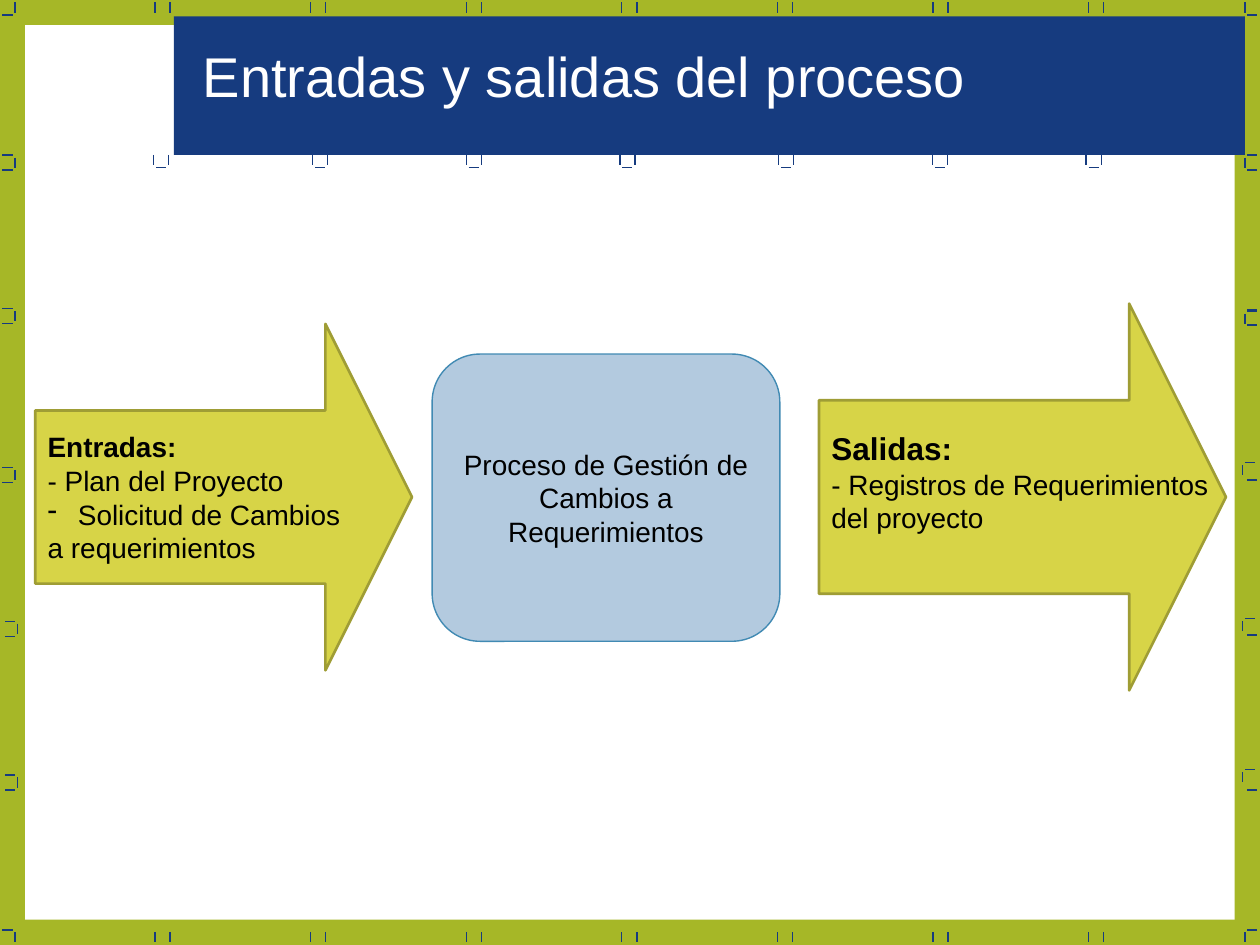
from pptx import Presentation
from pptx.dml.color import RGBColor
from pptx.enum import shapes as kinds, text
from pptx.oxml import parse_xml
from pptx.oxml.ns import nsdecls, qn
from pptx.util import Inches, Pt

GREEN = RGBColor(0xA6, 0xB7, 0x27)
NAVY = RGBColor(0x16, 0x3B, 0x7F)
WHITE = RGBColor(0xFF, 0xFF, 0xFF)
BLACK = RGBColor(0, 0, 0)
LIME = RGBColor(0xD7, 0xD4, 0x47)
OLIVE = RGBColor(0x9F, 0x9D, 0x35)
SKY = RGBColor(0xB3, 0xCA, 0xDF)
STEEL = RGBColor(0x41, 0x8A, 0xB3)

TICK = 0.08
GAP = 0.02
PAIR = 0.12


def add_block(slide, kind, box, fill, line=None, weight=0):
    """Add a filled preset shape at box (left, top, width, height) in inches."""
    block = slide.shapes.add_shape(kind, *map(Inches, box))
    block.shadow.inherit = False
    block.fill.solid()
    block.fill.fore_color.rgb = fill
    if line is None:
        block.line.fill.background()
    else:
        block.line.color.rgb = line
        block.line.width = Pt(weight)
    return block


def add_tick(slide, x, y, vertical=False):
    """Draw one short mark rightwards or downwards from (x, y)."""
    end = (x, y + TICK) if vertical else (x + TICK, y)
    tick = slide.shapes.add_connector(
        kinds.MSO_CONNECTOR.STRAIGHT, *map(Inches, (x, y, *end)))
    tick.line.color.rgb = NAVY
    tick.line.width = Pt(0.75)
    properties = tick.element.find(qn("p:spPr"))
    properties.append(parse_xml(f"<a:effectLst {nsdecls('a')}/>"))


def add_frame_marks(slide):
    """Draw the registration marks around the slide edge."""
    for column in range(7):
        for x in (1.23 + 1.235 * column, 1.23 + 1.235 * column + PAIR):
            for y in (0.02, 7.4):
                add_tick(slide, x, y, vertical=True)
    for x in (0.12, 9.88):
        for y in (0.02, 7.4):
            add_tick(slide, x, y, vertical=True)
    for x in (0.02, 9.9):
        for y in (0.12, 7.38):
            add_tick(slide, x, y)
    for x, y in ((0.02, 1.23), (0.02, 2.45), (0.02, 3.71), (0.04, 4.93), (0.04, 6.15)):
        add_tick(slide, x, y)
        add_tick(slide, x + 0.1, y + GAP, vertical=True)
        add_tick(slide, x, y + PAIR)
    for x, y in ((9.88, 1.23), (9.88, 2.47), (9.86, 3.67), (9.86, 4.91), (9.86, 6.11)):
        add_tick(slide, x + GAP, y)
        add_tick(slide, x, y + GAP, vertical=True)
    for y in (1.35, 2.46, 2.58, 3.81, 5.04, 6.27):
        add_tick(slide, 9.9, y)


def add_header(slide, box):
    """Draw the title band with its lower marks and place the title on it."""
    left, top, width, height = box
    add_block(slide, kinds.MSO_SHAPE.RECTANGLE, box, NAVY)
    bottom = top + height
    for x in (1.22, 2.48, 3.7, 4.92, 6.18, 7.4, 8.62):
        add_tick(slide, x, bottom, vertical=True)
        add_tick(slide, x + PAIR, bottom, vertical=True)
        add_tick(slide, x + GAP, bottom + 0.1)
    title = slide.shapes.title
    slide.shapes.element.append(title.element)
    title.left, title.top = Inches(left + 0.13), Inches(top + 0.15)
    title.width, title.height = Inches(6.8), Inches(0.63)
    frame = title.text_frame
    frame.text = "Entradas y salidas del proceso"
    frame.vertical_anchor = text.MSO_ANCHOR.TOP
    frame.auto_size = text.MSO_AUTO_SIZE.NONE
    paragraph = frame.paragraphs[0]
    paragraph.alignment = text.PP_ALIGN.LEFT
    style_font(paragraph, 32, WHITE)


def style_font(paragraph, size, color=BLACK, bold=False):
    """Set the paragraph's typeface, size, colour and weight."""
    font = paragraph.font
    font.name, font.size, font.bold = "Arial", Pt(size), bold
    font.color.rgb = color


def add_dash(paragraph):
    """Give the paragraph a hanging dash bullet."""
    properties = paragraph._p.get_or_add_pPr()
    properties.set("marL", str(Inches(0.24)))
    properties.set("indent", str(-Inches(0.24)))
    properties.append(parse_xml(f'<a:buChar {nsdecls("a")} char="-"/>'))


def add_arrow(slide, box, heading, heading_size, lines, bottom_inset=0.05):
    """Draw a lime arrow holding a bold heading and (wording, dashed) lines."""
    arrow = add_block(slide, kinds.MSO_SHAPE.RIGHT_ARROW, box, LIME, OLIVE, 1.5)
    arrow.adjustments[0], arrow.adjustments[1] = 0.5, 0.25
    frame = arrow.text_frame
    frame.word_wrap = False
    frame.vertical_anchor = text.MSO_ANCHOR.MIDDLE
    frame.margin_bottom = Inches(bottom_inset)
    first = frame.paragraphs[0]
    first.text = heading
    first.alignment = text.PP_ALIGN.LEFT
    style_font(first, heading_size, bold=True)
    for wording, dashed in lines:
        paragraph = frame.add_paragraph()
        paragraph.text = wording
        paragraph.alignment = text.PP_ALIGN.LEFT
        if dashed:
            add_dash(paragraph)
        style_font(paragraph, 16)


def add_process(slide, box):
    """Draw the rounded central process box."""
    process = add_block(slide, kinds.MSO_SHAPE.ROUNDED_RECTANGLE, box, SKY, STEEL, 0.79)
    frame = process.text_frame
    frame.word_wrap = True
    frame.vertical_anchor = text.MSO_ANCHOR.MIDDLE
    paragraph = frame.paragraphs[0]
    paragraph.text = "Proceso de Gestión de Cambios a Requerimientos"
    paragraph.alignment = text.PP_ALIGN.CENTER
    style_font(paragraph, 16)


def main():
    """Build and save the slide."""
    deck = Presentation()
    deck.slide_width, deck.slide_height = Inches(10), Inches(7.5)
    slide = deck.slides.add_slide(deck.slide_layouts[5])
    slide.background.fill.solid()
    slide.background.fill.fore_color.rgb = GREEN
    add_block(slide, kinds.MSO_SHAPE.RECTANGLE, (0.2, 0.2, 9.6, 7.1), WHITE)
    add_frame_marks(slide)
    add_header(slide, (1.38, 0.13, 8.5, 1.1))
    add_arrow(slide, (0.28, 2.57, 2.99, 2.75), "Entradas:", 16,
              [("- Plan del Proyecto", False), ("Solicitud de Cambios", True),
               ("a requerimientos", False)])
    add_process(slide, (3.43, 2.81, 2.76, 2.28))
    add_arrow(slide, (6.5, 2.41, 3.23, 3.07), "Salidas:", 18,
              [("- Registros de Requerimientos", False), ("del proyecto", False)],
              bottom_inset=0.29)
    deck.save("out.pptx")


if __name__ == "__main__":
    main()
